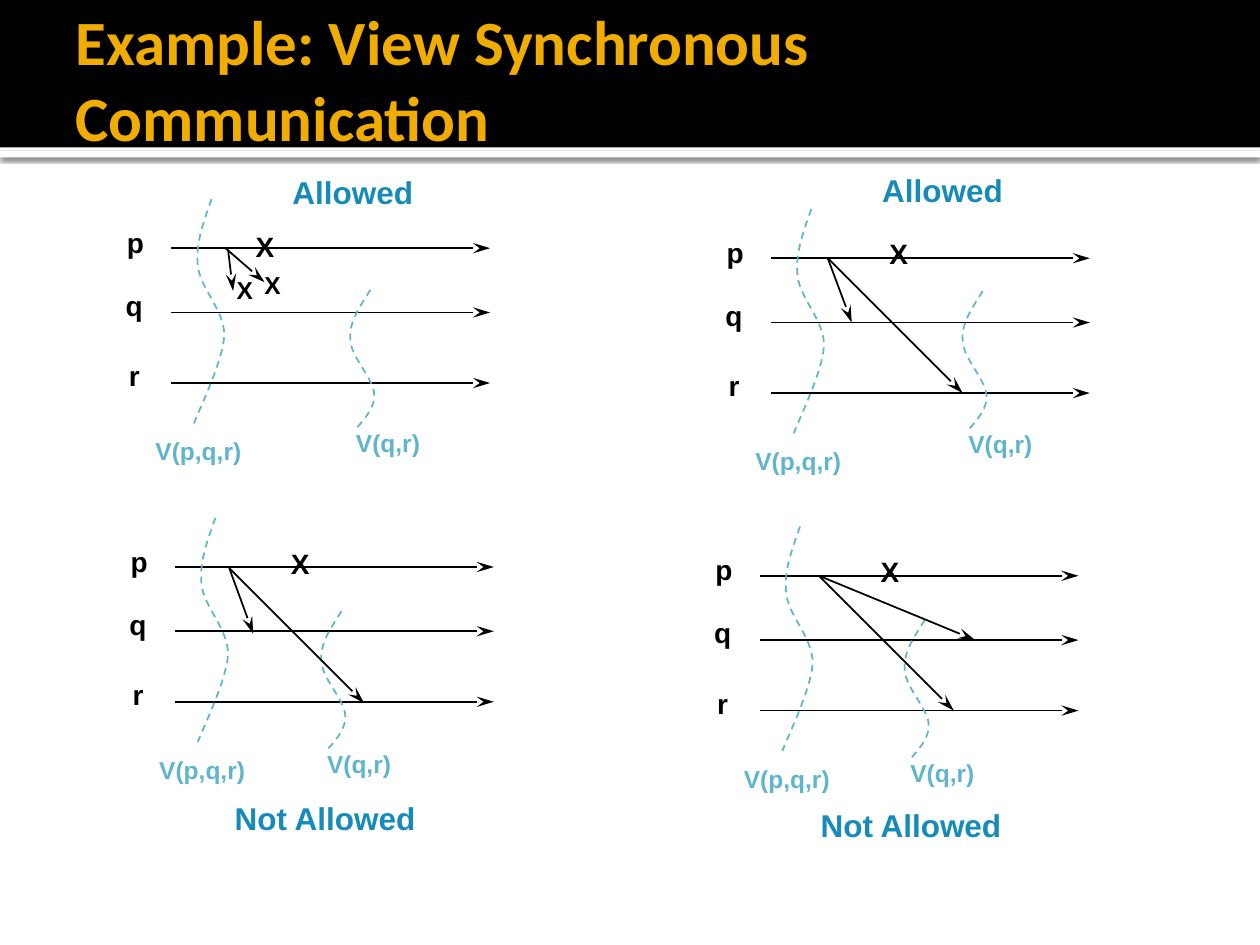
"""Build a slide of four process timelines on view synchronous communication."""
from dataclasses import dataclass

from lxml import etree
from pptx import Presentation
from pptx.dml.color import RGBColor
from pptx.enum import dml, shapes, text
from pptx.oxml import ns
from pptx.util import Inches, Pt


@dataclass
class Theme:
    ink: str = "000000"
    paper: str = "FFFFFF"
    gold: str = "F0AD00"
    blue: str = "168BBA"
    sky: str = "60B5CC"
    face: str = "Arial"
    top: str = "Calibri"
    title: int = 36
    head: int = 18
    name: int = 16
    note: int = 14
    line: int = 1


look = Theme()
deck = Presentation()
deck.slide_width, deck.slide_height = Inches(10), Inches(7.5)
slide = deck.slides.add_slide(deck.slide_layouts[5])
A = ns.nsdecls("a")


def label(words, x, y, w, size, hue):
    high = {look.head: 0.37, look.name: 0.34, look.note: 0.31}[size]
    box = slide.shapes.add_textbox(Inches(x), Inches(y), Inches(w), Inches(high))
    frame = box.text_frame
    frame.word_wrap = True
    frame.auto_size = text.MSO_AUTO_SIZE.SHAPE_TO_FIT_TEXT
    para = frame.paragraphs[0]
    para.alignment = text.PP_ALIGN.CENTER
    para.line_spacing = 0.9
    run = para.add_run()
    run.text = words
    run.font.name, run.font.size, run.font.bold = look.face, Pt(size), True
    run.font.color.rgb = RGBColor.from_string(hue)


def arrow(x1, y1, x2, y2):
    line = slide.shapes.add_connector(
        shapes.MSO_CONNECTOR.STRAIGHT, Inches(x1), Inches(y1), Inches(x2), Inches(y2))
    line.line.width = Pt(look.line)
    line.line.color.rgb = RGBColor.from_string(look.ink)
    props = line.element.spPr
    tip = f'<a:tailEnd {A} type="stealth" w="med" len="lg"/>'
    props.find(ns.qn("a:ln")).append(etree.fromstring(tip))
    props.append(etree.fromstring(f"<a:effectLst {A}/>"))


for y, high, hue in [(1.2, 0.05, look.paper), (0, 1.17, look.ink)]:
    band = slide.shapes.add_shape(
        shapes.MSO_SHAPE.RECTANGLE, 0, Inches(y), deck.slide_width, Inches(high))
    band.fill.solid()
    band.fill.fore_color.rgb = RGBColor.from_string(hue)
    band.line.fill.background()
    band.shadow.inherit = False
    if hue == look.paper:
        glow = (f'<a:outerShdw {A} blurRad="{Pt(2.5)}" dist="{Pt(0.8)}" dir="5400000">'
                f'<a:srgbClr val="{look.ink}"><a:alpha val="60000"/></a:srgbClr>'
                '</a:outerShdw>')
        band.element.spPr.find(ns.qn("a:effectLst")).append(etree.fromstring(glow))

title = slide.shapes.title
title.element.getparent().append(title.element)
title.left, title.top = Inches(0.5), Inches(0.08)
title.width, title.height = Inches(9), Inches(1.08)
frame = title.text_frame
frame.word_wrap = True
frame.auto_size = text.MSO_AUTO_SIZE.NONE
frame.vertical_anchor = text.MSO_ANCHOR.MIDDLE
frame.margin_left = Inches(0.1)
frame.margin_top = frame.margin_right = frame.margin_bottom = Inches(0.05)
para = frame.paragraphs[0]
para.alignment = text.PP_ALIGN.LEFT
run = para.add_run()
run.text = "Example: View Synchronous Communication"
run.font.name, run.font.size, run.font.bold = look.top, Pt(look.title), True
run.font.color.rgb = RGBColor.from_string(look.gold)

rows = [("p", -0.53, -0.2, 0), ("q", -0.54, 0.3, 0.51), ("r", -0.54, 0.86, 1.07)]
old = [(0.32, -0.39), (0.26, -0.22), (0.19, -0.04), (0.21, 0.14), (0.23, 0.32),
       (0.42, 0.49), (0.42, 0.69), (0.41, 0.9), (0.22, 1.28), (0.18, 1.39)]
new = [(0.33, -1.07), (0.25, -0.94), (0.16, -0.82), (0.17, -0.68), (0.17, -0.54),
       (0.36, -0.36), (0.36, -0.24), (0.37, -0.12), (0.24, 0), (0.21, 0.04)]

panels = [
    dict(at=(1.36, 1.97), view=(2.61, 3.37), head=("Allowed", 1.89, 1.36),
         sends=[(1.81, 1.98, 1.85, 2.31), (1.79, 1.97, 2.1, 2.24)],
         fails=[(1.93, 1.8, look.name), (2, 2.12, look.note), (1.78, 2.16, look.note)]),
    dict(at=(6.12, 2.05), view=(7.47, 3.38), head=("Allowed", 6.57, 1.34),
         sends=[(6.57, 2.05, 6.76, 2.56), (6.57, 2.05, 7.64, 3.12)],
         fails=[(6.96, 1.86, look.name)]),
    dict(at=(1.39, 4.5), view=(2.38, 5.92), head=("Not Allowed", 1.67, 6.33),
         sends=[(1.82, 4.51, 2.01, 5.03), (1.82, 4.51, 2.89, 5.58)],
         fails=[(2.21, 4.32, look.name)]),
    dict(at=(6.03, 4.57), view=(7.01, 5.99), head=("Not Allowed", 6.32, 6.38),
         sends=[(6.5, 4.57, 7.74, 5.08), (6.5, 4.57, 7.57, 5.64)],
         fails=[(6.89, 4.38, look.name)]),
]

for panel in panels:
    x, y = panel["at"]
    for name, dx, dy, drop in rows:
        arrow(x, y + drop, x + 2.53, y + drop)
        label(name, x + dx, y + dy, 0.49, look.name, look.ink)

    left, top = panel["view"]
    label("V(p,q,r)", x - 0.28, y + 1.47, 0.99, look.note, look.sky)
    label("V(q,r)", left, top, 0.94, look.note, look.sky)
    for knots, (ox, oy) in [(old, (x, y)), (new, (left, top))]:
        spots = [(Inches(ox + kx), Inches(oy + ky)) for kx, ky in knots]
        pen = slide.shapes.build_freeform(*spots[0])
        pen.add_line_segments(spots[1:], close=False)
        wave = pen.convert_to_shape()
        track = next(wave.element.iter(ns.qn("a:path")))
        legs = track.findall(ns.qn("a:lnTo"))
        for i in range(0, len(legs), 3):
            bend = etree.SubElement(track, ns.qn("a:cubicBezTo"))
            for leg in legs[i:i + 3]:
                bend.append(leg[0])
                track.remove(leg)
        wave.fill.background()
        wave.shadow.inherit = False
        wave.line.width = Pt(look.line)
        wave.line.color.rgb = RGBColor.from_string(look.sky)
        wave.line.dash_style = dml.MSO_LINE.DASH

    for send in panel["sends"]:
        arrow(*send)
    for fx, fy, size in panel["fails"]:
        label("X", fx, fy, 0.31, size, look.ink)
    label(*panel["head"], 1.82, look.head, look.blue)

deck.save("out.pptx")
